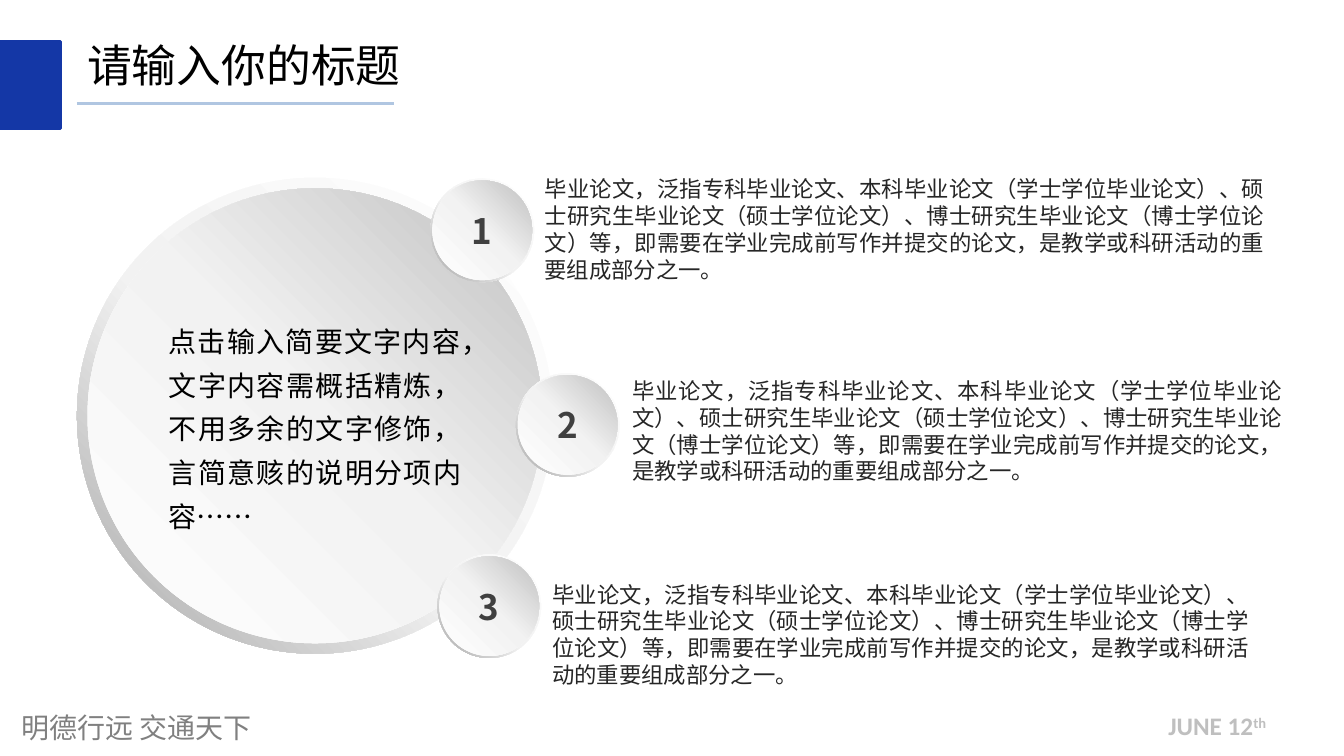
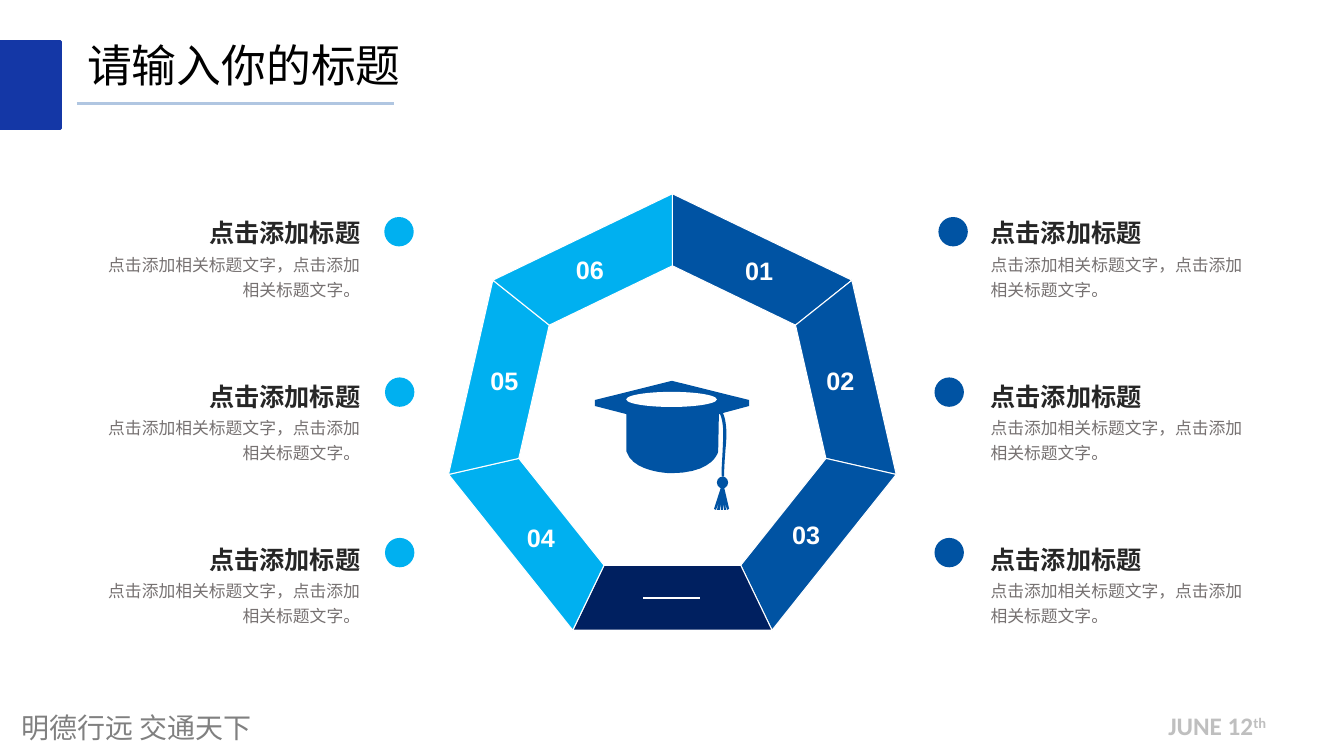
from math import cos, pi, sin

from pptx import Presentation
from pptx.dml.color import RGBColor
from pptx.enum.shapes import MSO_CONNECTOR, MSO_SHAPE
from pptx.enum.text import MSO_ANCHOR, MSO_AUTO_SIZE, PP_ALIGN
from pptx.oxml import parse_xml
from pptx.oxml.ns import nsdecls, qn
from pptx.util import Pt

# Shared colours and fonts
WHITE = RGBColor(0xFF, 0xFF, 0xFF)
BLACK = RGBColor(0x00, 0x00, 0x00)
INK = RGBColor(0x26, 0x26, 0x26)
NUMBER_GRAY = RGBColor(0x40, 0x40, 0x40)
BODY_GRAY = RGBColor(0x76, 0x71, 0x71)
FOOTER_GRAY = RGBColor(0x80, 0x80, 0x80)
DATE_GRAY = RGBColor(0xBF, 0xBF, 0xBF)
RING_GRAY = RGBColor(0xA6, 0xA6, 0xA6)
PALE_GRAY = RGBColor(0xF2, 0xF2, 0xF2)
BAND_BLUE = RGBColor(0x14, 0x37, 0xA6)
RULE_BLUE = RGBColor(0xB0, 0xC6, 0xE1)
BLUE = RGBColor(0x00, 0x53, 0xA3)
NAVY = RGBColor(0x00, 0x20, 0x60)
SKY = RGBColor(0x00, 0xB0, 0xF0)
CJK = "Noto Sans CJK SC"
CJK_FOOTER = "Noto Sans CJK JP"

# Gradients: angle and stops
RING_GRADIENT = (135, [(0, WHITE), (55, PALE_GRAY), (100, RING_GRAY)])
DISC_GRADIENT = (315, [(0, WHITE), (51, PALE_GRAY), (100, DATE_GRAY)])

THESIS_TEXT = ("毕业论文，泛指专科毕业论文、本科毕业论文（学士学位毕业论文）、"
               "硕士研究生毕业论文（硕士学位论文）、博士研究生毕业论文（博士学位论文）等，"
               "即需要在学业完成前写作并提交的论文，是教学或科研活动的重要组成部分之一。")
SUMMARY_TEXT = ("点击输入简要文字内容，文字内容需概括精炼，不用多余的文字修饰，"
                "言简意赅的说明分项内容……")


# Basic parts
def add_run(paragraph, text, size, color, font=CJK, bold=False):
    run = paragraph.add_run()
    run.text = text
    run.font.size = Pt(size)
    run.font.bold = bold
    run.font.color.rgb = color
    run.font.name = font
    properties = run._r.get_or_add_rPr()
    latin = properties.find(qn("a:latin"))
    latin.addnext(parse_xml(f'<a:ea {nsdecls("a")} typeface="{font}"/>'))
    return run


def set_margins(frame, horizontal, vertical):
    frame.margin_left = frame.margin_right = Pt(horizontal)
    frame.margin_top = frame.margin_bottom = Pt(vertical)


def write_text(shape, text, size, color, font=CJK, bold=False, align=PP_ALIGN.LEFT,
               spacing=1.0, margins=(7.2, 3.6), wrap=True):
    """Top-anchored text with lines 1.2 em apart, times spacing."""
    frame = shape.text_frame
    frame.word_wrap = wrap
    frame.auto_size = MSO_AUTO_SIZE.NONE
    frame.vertical_anchor = MSO_ANCHOR.TOP
    set_margins(frame, *margins)
    frame.margin_top = Pt(margins[1] + 0.08 * size)
    paragraph = frame.paragraphs[0]
    paragraph.alignment = align
    paragraph.line_spacing = Pt(round(1.2 * spacing * size, 2))
    add_run(paragraph, text, size, color, font, bold)


def add_text(slide, box, *args, **options):
    shape = slide.shapes.add_textbox(*map(Pt, box))
    write_text(shape, *args, **options)


def add_shape(slide, kind, box, color=None, gradient=None):
    shape = slide.shapes.add_shape(kind, *map(Pt, box))
    shape.shadow.inherit = False
    shape.line.fill.background()
    if gradient:
        fill_gradient(shape, *gradient)
    elif color is not None:
        shape.fill.solid()
        shape.fill.fore_color.rgb = color
    else:
        shape.fill.background()
    return shape


def fill_gradient(shape, angle, stops):
    stop_xml = "".join(f'<a:gs pos="{position * 1000}"><a:srgbClr val="{color}"/></a:gs>'
                       for position, color in stops)
    geometry = shape._element.spPr.find(qn("a:prstGeom"))
    geometry.addnext(parse_xml(
        f'<a:gradFill {nsdecls("a")} rotWithShape="1"><a:gsLst>{stop_xml}</a:gsLst>'
        f'<a:lin ang="{angle * 60000}" scaled="0"/></a:gradFill>'))


def add_centred_text(shape, text, size, color, font):
    frame = shape.text_frame
    frame.word_wrap = False
    frame.vertical_anchor = MSO_ANCHOR.MIDDLE
    set_margins(frame, 0, 0)
    frame.paragraphs[0].alignment = PP_ALIGN.CENTER
    add_run(frame.paragraphs[0], text, size, color, font, bold=True)


def add_line(slide, left, right, y, color, width):
    line = slide.shapes.add_connector(MSO_CONNECTOR.STRAIGHT, Pt(left), Pt(y), Pt(right), Pt(y))
    line.line.color.rgb = color
    line.line.width = Pt(width)
    line._element.spPr.append(parse_xml(f'<a:effectLst {nsdecls("a")}/>'))


def add_polygon(slide, points, color, edge=None):
    corners = [(Pt(x), Pt(y)) for x, y in points]
    builder = slide.shapes.build_freeform(*corners[0], scale=1.0)
    builder.add_line_segments(corners[1:], close=True)
    shape = builder.convert_to_shape()
    shape.shadow.inherit = False
    shape.fill.solid()
    shape.fill.fore_color.rgb = color
    if edge is None:
        shape.line.fill.background()
    else:
        shape.line.color.rgb = edge
        shape.line.width = Pt(0.75)


def curve(*controls, steps=10):
    """Points of a cubic curve, without its start."""
    points = []
    for step in range(1, steps + 1):
        t = step / steps
        weights = ((1 - t) ** 3, 3 * t * (1 - t) ** 2, 3 * t * t * (1 - t), t ** 3)
        points.append(tuple(sum(weight * control[axis] for weight, control in zip(weights, controls))
                            for axis in (0, 1)))
    return points


# Frame of every slide: title, band, rule and footers
def new_slide(presentation, title):
    slide = presentation.slides.add_slide(presentation.slide_layouts[5])
    placeholder = slide.shapes.title
    placeholder.left, placeholder.top, placeholder.width, placeholder.height = map(
        Pt, (55, 21, 240, 46))
    write_text(placeholder, title, 32, BLACK, wrap=False)
    band = add_shape(slide, MSO_SHAPE.RECTANGLE, (0, 29.5, 43.5, 62.5), BAND_BLUE)
    band.line.color.rgb = BAND_BLUE
    band.line.width = Pt(2)
    add_line(slide, 55, 281.5, 74, RULE_BLUE, 2.25)

    add_text(slide, (8, 502, 284, 32), "明德行远 交通天下", 20, FOOTER_GRAY, CJK_FOOTER)
    date_box = slide.shapes.add_textbox(Pt(827.5), Pt(504), Pt(86), Pt(29))
    date_box.text_frame.word_wrap = False
    paragraph = date_box.text_frame.paragraphs[0]
    add_run(paragraph, "JUNE 12", 18, DATE_GRAY, "Calibri", True)
    suffix = add_run(paragraph, "th", 18, DATE_GRAY, "Calibri", True)
    suffix._r.get_or_add_rPr().set("baseline", "30000")
    return slide


# Slide 1: disc with three numbered points
def add_disc(slide, left, top, size, rim):
    ring = add_shape(slide, MSO_SHAPE.DONUT, (left, top, size, size), gradient=RING_GRADIENT)
    ring.adjustments[0] = 0.049
    inner = size - 2 * rim
    return add_shape(slide, MSO_SHAPE.OVAL, (left + rim, top + rim, inner, inner),
                     gradient=DISC_GRADIENT)


def add_point(slide, number, badge, text_box):
    disc = add_disc(slide, *badge, 74, 1.4)
    add_centred_text(disc, str(number), 25, NUMBER_GRAY, CJK)
    add_text(slide, text_box, THESIS_TEXT, 16, INK, align=PP_ALIGN.JUSTIFY, margins=(0, 0))


def build_points_slide(presentation):
    slide = new_slide(presentation, "请输入你的标题")
    add_disc(slide, 55, 127, 340, 7.5)
    points = [((307.5, 127.5), (389, 124, 515, 78)),
              ((368.5, 266.5), (451.5, 268, 465, 78)),
              ((312.5, 396), (394.5, 413.5, 498, 78))]
    for number, (badge, text_box) in enumerate(points, 1):
        add_point(slide, number, badge, text_box)
    add_text(slide, (120.5, 223, 209, 158), SUMMARY_TEXT, 20, BLACK,
             align=PP_ALIGN.JUSTIFY, spacing=1.3, margins=(0, 0))


# Slide 2: heptagon ring with captions on both sides
def add_heptagon(slide, center_x, center_y, outer, inner):
    def corner(index, radius):
        angle = 2 * pi * index / 7
        return center_x + radius * sin(angle), center_y - radius * cos(angle)

    for index, color in enumerate([BLUE] * 3 + [NAVY] + [SKY] * 3):
        add_polygon(slide, [corner(index, outer), corner(index + 1, outer),
                            corner(index + 1, inner), corner(index, inner)], color, WHITE)

    label_offsets = [(62, -109.5), (120, -31), (95.5, 79.5),
                     (-94, 81.5), (-120, -31), (-59, -110)]
    for number, (dx, dy) in enumerate(label_offsets, 1):
        label = add_shape(slide, MSO_SHAPE.RECTANGLE,
                          (center_x + dx - 16, center_y + dy - 16, 32, 32))
        add_centred_text(label, f"{number:02}", 18, WHITE, "Arial")
    add_line(slide, center_x - 21, center_x + 20, center_y + 124.5, WHITE, 1.5)


def add_graduation_cap(slide, left, top):
    def place(points):
        return [(left + x, top + y) for x, y in points]

    # Board, crown and cord
    outline = [(110, 13.7), (55, 0), (0, 13.7), (0, 18), (22.5, 23.8), (22.5, 50.5)]
    outline += curve((22.5, 50.5), (27, 65.5), (54, 66), (54, 66))
    outline += curve((54, 66), (85, 66), (88, 50.5), (88, 50.5))
    outline += [(88.5, 23.8), (89.3, 23.8)]
    outline += curve((89.3, 23.8), (90.7, 26.6), (92.2, 33), (91.4, 44.6))
    outline += curve((91.4, 44.6), (90.7, 61.2), (90, 66.2), (90.7, 68.4))
    outline += [(92.2, 68.4)]
    outline += curve((92.2, 68.4), (92.2, 66.2), (92.2, 61.2), (93.6, 44.6))
    outline += curve((93.6, 44.6), (94.3, 35.3), (93.6, 28), (91.4, 23))
    outline += [(110, 18)]
    add_polygon(slide, place(outline), BLUE)
    add_shape(slide, MSO_SHAPE.OVAL, (left + 22.3, top + 7.9, 64.8, 10.8), WHITE)

    # Knot and tassel
    add_shape(slide, MSO_SHAPE.OVAL, (left + 87.1, top + 68.4, 8, 8.5), BLUE)
    tassel = [(90, 76), (85, 91.5), (86.4, 92.2), (88.6, 86.4), (87.1, 92.2), (89.3, 92.2),
              (89.3, 87.8), (90, 92.2), (91.4, 92.2), (91.4, 87.8), (92.2, 92.2),
              (93.6, 92.2), (92.9, 87.1), (94.3, 92.2), (95.8, 91.5), (92.2, 76)]
    add_polygon(slide, place(tassel), BLUE)


def add_caption(slide, left, top, align):
    add_text(slide, (left, top, 200, 31), "点击添加标题", 18, INK, bold=True,
             align=align, spacing=1.2)
    add_text(slide, (left, top + 27.4, 200, 42), "点击添加相关标题文字，点击添加相关标题文字。",
             12, BODY_GRAY, align=align, spacing=1.25)


def build_heptagon_slide(presentation):
    slide = new_slide(presentation, "请输入你的标题")
    add_heptagon(slide, 480.3, 302.4, 164, 112.5)
    add_graduation_cap(slide, 425, 272)
    sides = [(64.4, PP_ALIGN.RIGHT, SKY, (274.5, 275, 275)),
             (700.5, PP_ALIGN.LEFT, BLUE, (670.3, 667.5, 667.5))]
    for left, align, color, dot_lefts in sides:
        for row, dot_left in enumerate(dot_lefts):
            add_caption(slide, left, 146.2 + 116.6 * row, align)
            add_shape(slide, MSO_SHAPE.OVAL, (dot_left, 155 + 114.6 * row, 21, 21), color)


def main():
    presentation = Presentation()
    presentation.slide_width, presentation.slide_height = Pt(960), Pt(540)
    build_points_slide(presentation)
    build_heptagon_slide(presentation)
    presentation.save("out.pptx")


if __name__ == "__main__":
    main()
